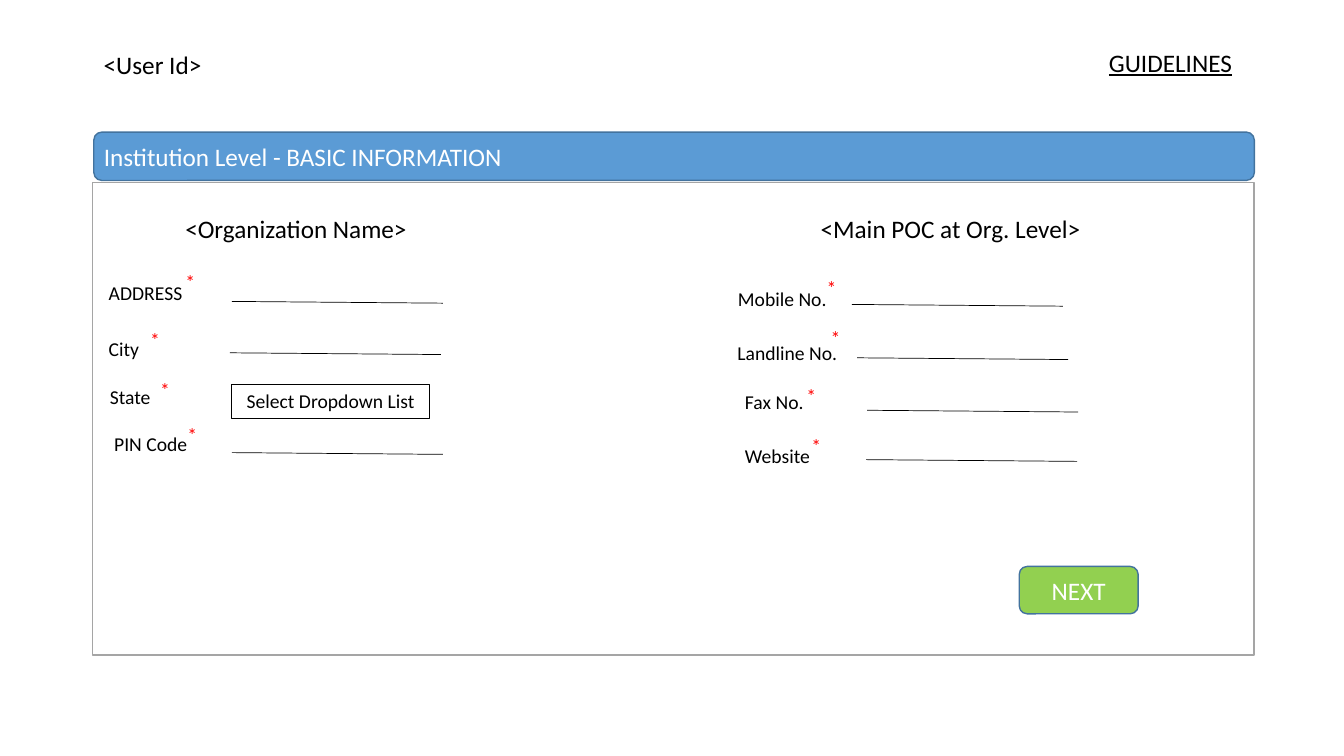
from dataclasses import dataclass

from lxml import etree
from pptx import Presentation
from pptx.dml.color import RGBColor
from pptx.enum.shapes import MSO_CONNECTOR, MSO_SHAPE
from pptx.enum.text import MSO_ANCHOR, MSO_AUTO_SIZE, PP_ALIGN
from pptx.oxml.ns import qn
from pptx.util import Inches, Pt

LEFT, CENTER = PP_ALIGN.LEFT, PP_ALIGN.CENTER
MIDDLE, TOP = MSO_ANCHOR.MIDDLE, MSO_ANCHOR.TOP
RECT, ROUND = MSO_SHAPE.RECTANGLE, MSO_SHAPE.ROUNDED_RECTANGLE
STRAIGHT = MSO_CONNECTOR.STRAIGHT
NO_FIT = MSO_AUTO_SIZE.NONE
WIDTH, HEIGHT = Inches(13.33), Inches(7.5)


@dataclass(frozen=True)
class Theme:
    """Font, type sizes and colours of the form."""
    font: str = "Calibri"
    head: int = 18
    body: int = 14
    ink: str = "000000"
    paper: str = "FFFFFF"
    blue: str = "5B9BD5"
    edge: str = "43739E"
    gray: str = "A5A5A5"
    green: str = "92D050"
    red: str = "FF0000"


THEME = Theme()

# All places are percentages of the slide's width and height.
BAR = (6.98, 17.47, 86.35, 6.4)
PANEL = (6.9, 24.13, 86.42, 62.53)
NEXT = (75.84, 74.93, 8.85, 6.27)
LIST = (17.25, 50.8, 14.7, 4.53)
WIDE, HEAD_ROW, ROW = 22.5, 5.33, 4.53
STAR, RULE, DROP = 4.88, 15.7, 0.23

# text, left, top, alignment, underline
HEADS = [
    ("<Organization Name>", 13.05, 27.6, LEFT, False),
    ("<Main POC at Org. Level>", 60.32, 27.6, LEFT, False),
    ("<User Id>", 6.98, 5.87, LEFT, False),
    ("GUIDELINES", 75.84, 5.6, CENTER, True),
]

# label, its place, alignment, place of the star, start of the rule
FIELDS = [
    ("ADDRESS", (7.35, 36.53), LEFT, (13.05, 35.07), (17.25, 39.87)),
    ("City", (7.35, 43.87), LEFT, (10.43, 42.67), (17.1, 46.67)),
    ("State", (7.43, 50.27), LEFT, (11.18, 49.33), None),
    (" PIN Code", (7.43, 56.53), LEFT, (13.2, 55.33), (17.25, 59.87)),
    ("Mobile No.", (46.96, 37.33), CENTER, (60.77, 35.87), (63.39, 40.27)),
    ("Landline No.", (47.34, 44.4), CENTER, (61.07, 42.4), (63.77, 47.33)),
    ("Fax No.", (54.69, 50.93), LEFT, (59.26, 50.13), (64.52, 54.27)),
    ("Website", (54.69, 58), LEFT, (59.64, 56.67), (64.44, 60.8)),
]


def across(share):
    """Turn a percentage of the width into a length."""
    return int(WIDTH * share / 100)


def down(share):
    """Turn a percentage of the height into a length."""
    return int(HEIGHT * share / 100)


def place(box):
    """Turn a box of percentages into left, top, width and height."""
    x, y, w, h = box
    return across(x), down(y), across(w), down(h)


def color(code):
    """Make a colour from its hex code."""
    return RGBColor.from_string(code)


def write(shape, text, size, ink, align=LEFT, anchor=TOP, under=False):
    """Put one formatted line of text into a shape."""
    frame = shape.text_frame
    frame.text = text
    frame.word_wrap = True
    frame.auto_size = NO_FIT
    frame.vertical_anchor = anchor
    para = frame.paragraphs[0]
    para.alignment = align
    font = para.runs[0].font
    font.name, font.size = THEME.font, Pt(size)
    font.color.rgb = color(ink)
    if under:
        font.underline = True


def label(slide, box, text, size, ink=THEME.ink, align=LEFT, under=False):
    """Add a plain text box."""
    shape = slide.shapes.add_textbox(*place(box))
    write(shape, text, size, ink, align, under=under)


def block(slide, kind, box, fill, edge, weight=1):
    """Add an outlined shape, filled unless fill is None."""
    shape = slide.shapes.add_shape(kind, *place(box))
    shape.shadow.inherit = False
    if fill:
        shape.fill.solid()
        shape.fill.fore_color.rgb = color(fill)
    else:
        shape.fill.background()
    shape.line.color.rgb = color(edge)
    shape.line.width = Pt(weight)
    return shape


def rule(slide, x, y):
    """Add the thin, slightly sloping line to fill in."""
    line = slide.shapes.add_connector(
        STRAIGHT, across(x), down(y), across(x + RULE), down(y + DROP))
    line.line.color.rgb = color(THEME.ink)
    line.line.width = Pt(0.5)
    etree.SubElement(line._element.spPr, qn("a:effectLst"))


def field(slide, text, spot, align, star, start):
    """Add a label with its red star and its rule, if any."""
    label(slide, (*spot, WIDE, ROW), text, THEME.body, align=align)
    label(slide, (*star, STAR, ROW), "*", THEME.body, THEME.red)
    if start:
        rule(slide, *start)


def banner(slide, text):
    """Add the blue bar and lay the title on top of it."""
    block(slide, ROUND, BAR, THEME.blue, THEME.edge)
    title = slide.shapes.title
    title.left, title.top, title.width, title.height = place(BAR)
    write(title, text, THEME.head, THEME.paper, anchor=MIDDLE)
    slide.shapes._spTree.append(title._element)


def main():
    """Build the form and save it."""
    deck = Presentation()
    deck.slide_width, deck.slide_height = WIDTH, HEIGHT
    slide = deck.slides.add_slide(deck.slide_layouts[5])
    banner(slide, "Institution Level - BASIC INFORMATION")
    block(slide, RECT, PANEL, THEME.paper, THEME.gray)
    for text, x, y, align, under in HEADS:
        box = (x, y, WIDE, HEAD_ROW)
        label(slide, box, text, THEME.head, align=align, under=under)
    for row in FIELDS:
        field(slide, *row)
    menu = block(slide, RECT, LIST, None, THEME.ink, 0.75)
    write(menu, "Select Dropdown List", THEME.body, THEME.ink, CENTER)
    button = block(slide, ROUND, NEXT, THEME.green, THEME.edge)
    write(button, "NEXT", THEME.head, THEME.paper, CENTER, MIDDLE)
    deck.save("out.pptx")


main()
